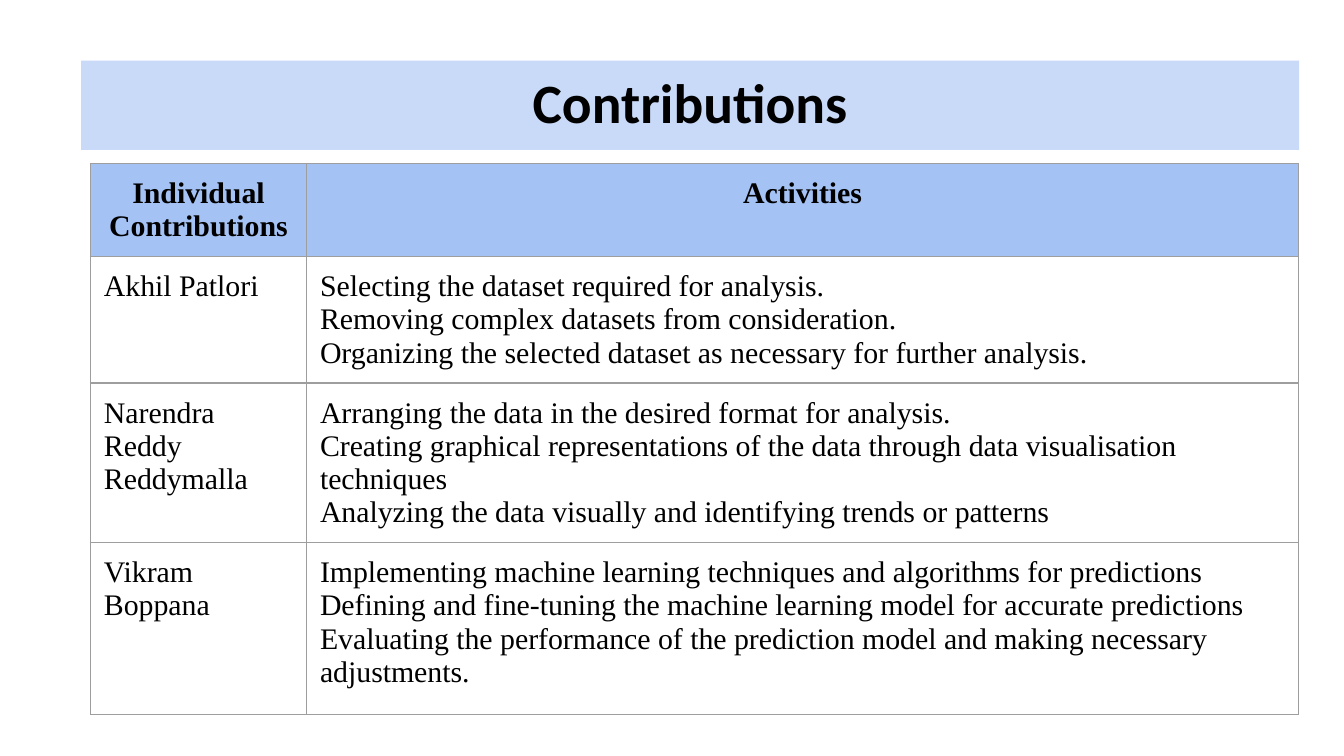
from dataclasses import dataclass

from lxml.etree import SubElement
from pptx import Presentation
from pptx.dml.color import RGBColor
from pptx.enum.text import MSO_ANCHOR, MSO_AUTO_SIZE, PP_ALIGN
from pptx.oxml.ns import qn
from pptx.util import Pt


@dataclass(frozen=True)
class Theme:
    ink: str = "000000"
    title_fill: str = "C9DAF8"
    header_fill: str = "A4C2F4"
    border: str = "9E9E9E"
    title_font: str = "Calibri"
    table_font: str = "Times New Roman"
    title_size: float = 29.7
    table_size: float = 16
    border_width: float = 0.75
    inset: float = 7.2


THEME = Theme()
TITLE_BOX = (43.5, 32.5, 652.5, 47.75)
TABLE_BOX = (48.5, 87.5, 647.25, 293)
COLUMN_WIDTHS = (115.75, 531.5)
ROW_HEIGHTS = (49.5, 67.5, 85.5, 92)
HEADINGS = ("Individual Contributions", "Activities")
CONTRIBUTIONS = (
    ("Akhil Patlori", (
        "Selecting the dataset required for analysis.",
        "Removing complex datasets from consideration.",
        "Organizing the selected dataset as necessary for further analysis.",
    )),
    ("Narendra Reddy Reddymalla", (
        "Arranging the data in the desired format for analysis.",
        "Creating graphical representations of the data through data visualisation techniques",
        "Analyzing the data visually and identifying trends or patterns",
    )),
    ("Vikram Boppana", (
        "Implementing machine learning techniques and algorithms for predictions",
        "Defining and fine-tuning the machine learning model for accurate predictions",
        "Evaluating the performance of the prediction model and making necessary adjustments.",
    )),
)


def set_all(target, values):
    for name, value in values.items():
        setattr(target, name, value)


def set_insets(target):
    """Give a text frame or a table cell the same margin on each side."""
    sides = ("left", "top", "right", "bottom")
    set_all(target, {f"margin_{side}": Pt(THEME.inset) for side in sides})


def fill_solid(target, colour):
    target.fill.solid()
    target.fill.fore_color.rgb = RGBColor.from_string(colour)


def write_paragraphs(frame, lines, font, size, bold, para_format):
    frame.text = "\n".join(lines)
    for para in frame.paragraphs:
        set_all(para, para_format)
        for span in para.runs:
            set_all(span.font, {"name": font, "size": Pt(size), "bold": bold})
            span.font.color.rgb = RGBColor.from_string(THEME.ink)


def add_borders(cell):
    properties = cell._tc.get_or_add_tcPr()
    for side in ("lnL", "lnR", "lnT", "lnB"):
        line = SubElement(properties, qn(f"a:{side}"), w=str(Pt(THEME.border_width)))
        SubElement(SubElement(line, qn("a:solidFill")), qn("a:srgbClr"), val=THEME.border)


def place_title(page, box, text):
    title = page.shapes.title
    set_all(title, dict(zip(("left", "top", "width", "height"), map(Pt, box))))
    fill_solid(title, THEME.title_fill)
    frame = title.text_frame
    set_insets(frame)
    set_all(frame, {"word_wrap": True, "auto_size": MSO_AUTO_SIZE.NONE,
                    "vertical_anchor": MSO_ANCHOR.MIDDLE})
    write_paragraphs(frame, [text], THEME.title_font, THEME.title_size, True,
                     {"alignment": PP_ALIGN.CENTER, "line_spacing": 0.9})


def place_table(page, box):
    rows = [[[heading] for heading in HEADINGS]]
    rows += [[[person], activities] for person, activities in CONTRIBUTIONS]
    table = page.shapes.add_table(len(rows), len(HEADINGS), *map(Pt, box)).table
    table.horz_banding = False
    for column, width in zip(table.columns, COLUMN_WIDTHS):
        column.width = Pt(width)
    for row, height in zip(table.rows, ROW_HEIGHTS):
        row.height = Pt(height)

    for row_index, contents in enumerate(rows):
        is_header = row_index == 0
        alignment = PP_ALIGN.CENTER if is_header else PP_ALIGN.LEFT
        for column_index, lines in enumerate(contents):
            cell = table.cell(row_index, column_index)
            set_insets(cell)
            add_borders(cell)
            if is_header:
                fill_solid(cell, THEME.header_fill)
            else:
                cell.fill.background()
            write_paragraphs(cell.text_frame, lines, THEME.table_font, THEME.table_size,
                             is_header, {"alignment": alignment})


def main():
    deck = Presentation()
    set_all(deck, {"slide_width": Pt(720), "slide_height": Pt(405)})
    title_only = deck.slide_layouts[5]
    page = deck.slides.add_slide(title_only)
    place_title(page, TITLE_BOX, "Contributions")
    place_table(page, TABLE_BOX)
    deck.save("out.pptx")


if __name__ == "__main__":
    main()
